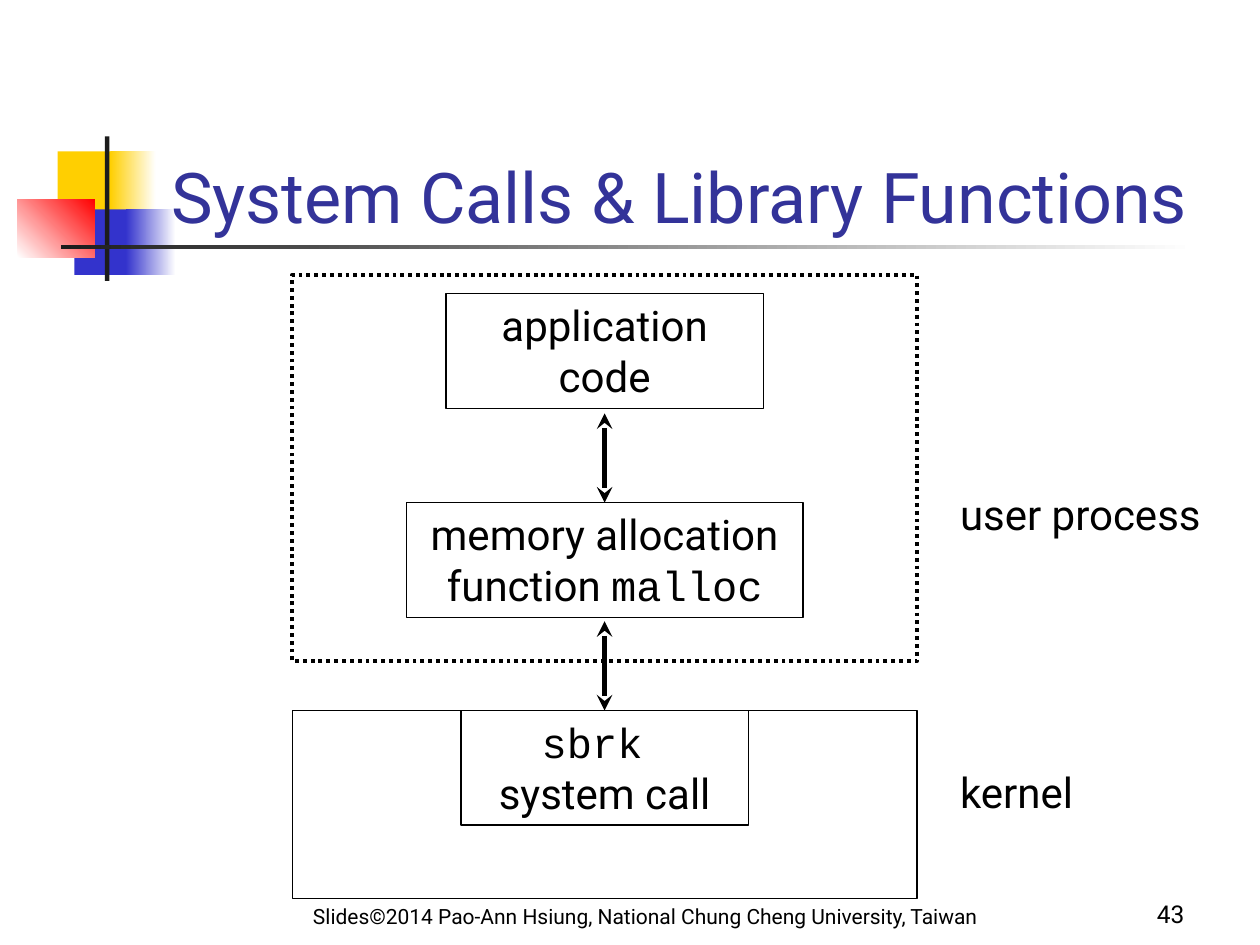
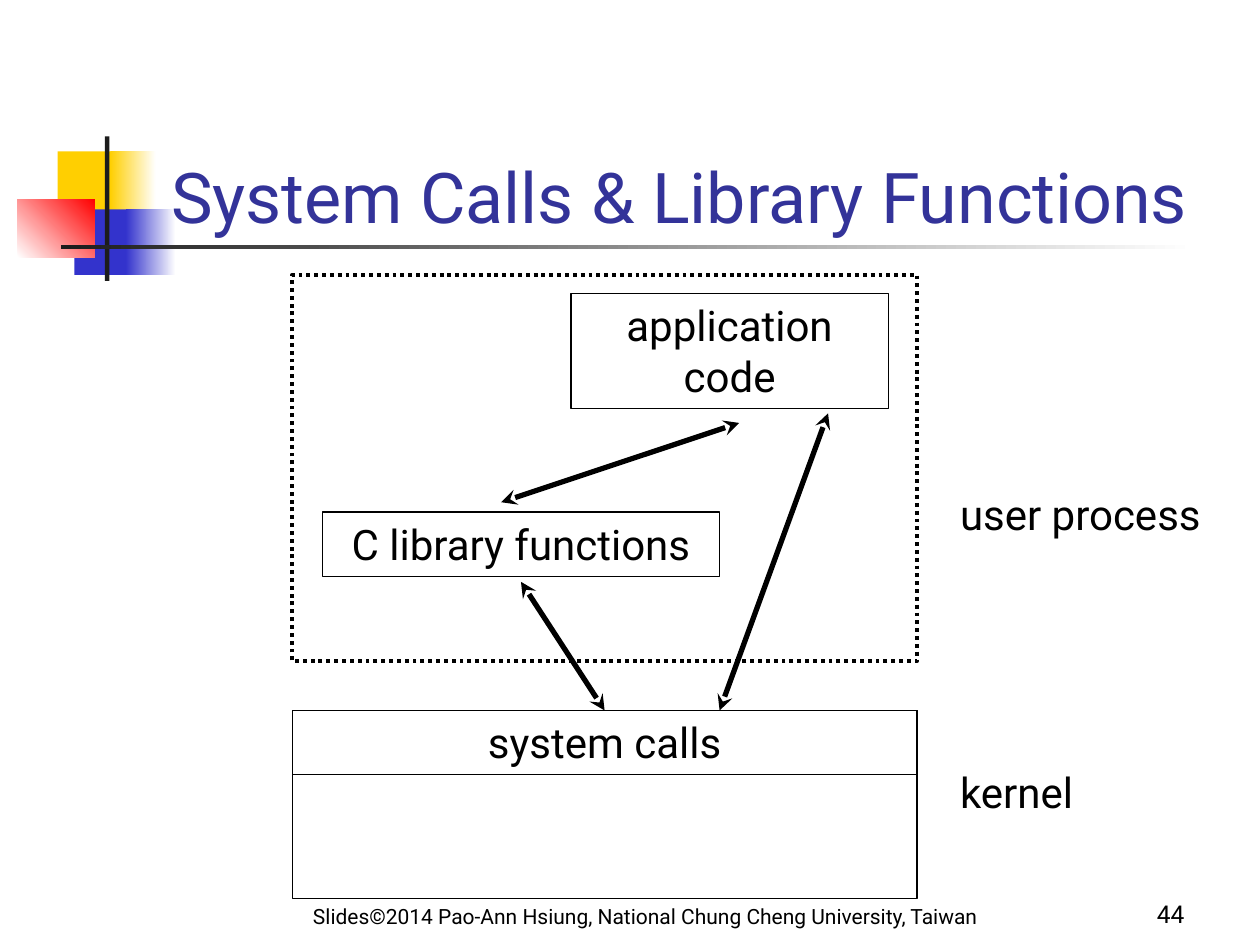
from dataclasses import dataclass

from lxml.etree import SubElement
from pptx import Presentation
from pptx.dml.color import RGBColor
from pptx.enum.dml import MSO_LINE_DASH_STYLE as Dash
from pptx.enum.shapes import MSO_CONNECTOR as Conn, MSO_SHAPE as Shape
from pptx.enum.text import MSO_ANCHOR as Anchor, PP_ALIGN as Align
from pptx.oxml.ns import qn
from pptx.util import Pt


@dataclass(frozen=True)
class Theme:
    # Colours
    white: str = "FFFFFF"
    black: str = "000000"
    title: str = "333399"
    yellow: str = "FFCF01"
    blue: str = "3333CC"
    red: str = "FF0000"
    bar: str = "1C1C1C"
    # Fonts and type sizes
    font: str = "Roboto"
    mono: str = "Courier New"
    title_size: int = 40
    body_size: int = 24
    number_size: int = 14
    footer_size: int = 12
    # Line widths
    thin: float = 0.75
    dotted: float = 2.25
    arrow: float = 3


TITLE = "System Calls & Library Functions"
FOOTER = "Slides©2014 Pao-Ann Hsiung, National Chung Cheng University, Taiwan"

# Diagram grid in points
LEFT, WIDTH = 167, 357
MIDDLE = LEFT + WIDTH / 2
USER_TOP, USER_HEIGHT = 157, 221
KERNEL_TOP, KERNEL_HEIGHT = 406, 107.4
APP_TOP, APP_WIDTH = 167.8, 181.4
LIBRARY_WIDTH = 226.8
ONE_LINE, TWO_LINES = 36.7, 65.5
LABEL_LEFT, LABEL_WIDTH = 541.5, 152.6


class Deck:
    def __init__(self, theme):
        self.t = theme
        self.prs = Presentation()
        self.prs.slide_width, self.prs.slide_height = Pt(720), Pt(540)
        self.s = None

    def rect(self, x, y, w, h):
        sp = self.s.shapes.add_shape(Shape.RECTANGLE, Pt(x), Pt(y), Pt(w), Pt(h))
        sp.shadow.inherit = False
        return sp

    def block(self, x, y, w, h, *colors, angle=0):
        """Borderless block: one colour is solid, two make a gradient."""
        sp = self.rect(x, y, w, h)
        sp.line.fill.background()
        if len(colors) == 1:
            sp.fill.solid()
            sp.fill.fore_color.rgb = RGBColor.from_string(colors[0])
            return
        sp.fill.gradient()
        sp.fill.gradient_angle = angle
        for stop, color in zip(sp.fill.gradient_stops, colors):
            stop.color.rgb = RGBColor.from_string(color)

    def frame(self, x, y, w, h, dotted=False):
        sp = self.rect(x, y, w, h)
        sp.fill.background()
        sp.line.color.rgb = RGBColor.from_string(self.t.black)
        sp.line.width = Pt(self.t.dotted if dotted else self.t.thin)
        if dotted:
            sp.line.dash_style = Dash.ROUND_DOT
        return sp

    def set_text(self, tf, lines, size, color, align, anchor):
        """Each line is a list of text or (text, font) parts."""
        tf.word_wrap = True
        tf.vertical_anchor = anchor
        p = tf.paragraphs[0]
        p.alignment = align
        p.font.name, p.font.size = self.t.font, Pt(size)
        p.font.color.rgb = RGBColor.from_string(color)
        for i, line in enumerate(lines):
            if i:
                p.add_line_break()
            for part in line:
                text, font = part if isinstance(part, tuple) else (part, None)
                r = p.add_run()
                r.text = text
                if font:
                    r.font.name = font

    def box(self, center, y, w, h, *lines):
        sp = self.frame(center - w / 2, y, w, h)
        self.set_text(sp.text_frame, lines, self.t.body_size, self.t.black,
                      Align.CENTER, Anchor.TOP)

    def text(self, x, y, w, h, text, size, color=None, align=Align.LEFT,
             anchor=Anchor.BOTTOM):
        tb = self.s.shapes.add_textbox(Pt(x), Pt(y), Pt(w), Pt(h))
        self.set_text(tb.text_frame, [[text]], size, color or self.t.black,
                      align, anchor)

    def arrow(self, x1, y1, x2, y2):
        """Line with an arrowhead at both ends."""
        c = self.s.shapes.add_connector(Conn.STRAIGHT, Pt(x1), Pt(y1), Pt(x2), Pt(y2))
        c.line.color.rgb = RGBColor.from_string(self.t.black)
        c.line.width = Pt(self.t.arrow)
        sp_pr = c._element.spPr
        ln = sp_pr.find(qn("a:ln"))
        for end in ("a:headEnd", "a:tailEnd"):
            SubElement(ln, qn(end), type="stealth")
        SubElement(sp_pr, qn("a:effectLst"))

    def slide(self, number):
        """New slide with the shared ornament, title and footer."""
        t = self.t
        self.s = self.prs.slides.add_slide(self.prs.slide_layouts[6])
        # Ornament
        self.block(33, 86.5, 34.5, 37.5, t.yellow)
        self.block(63, 86.5, 26, 37.5, t.yellow, t.white)
        self.block(42.5, 119.7, 33, 37.4, t.blue)
        self.block(72, 119.7, 28.5, 37.4, t.blue, t.white)
        self.block(10, 113.8, 44.2, 33.3, t.white, t.red, angle=45)
        self.block(60, 78, 2.5, 82.5, t.bar)
        self.block(34.8, 140, 648, 2.5, t.bar, t.white)
        # Title and footer
        self.text(90.7, 49, 613.4, 90, TITLE, t.title_size, t.title)
        self.text(110, 498.2, 517.7, 36, FOOTER, t.footer_size, align=Align.CENTER)
        self.text(534, 498.2, 150, 36, str(number), t.number_size, align=Align.RIGHT)

    def regions(self):
        """User process and kernel areas with their labels."""
        self.frame(LEFT, USER_TOP, WIDTH, USER_HEIGHT, dotted=True)
        self.frame(LEFT, KERNEL_TOP, WIDTH, KERNEL_HEIGHT)
        for y, label in ((275.8, "user process"), (434.2, "kernel")):
            self.text(LABEL_LEFT, y, LABEL_WIDTH, 36, label, self.t.body_size,
                      anchor=Anchor.TOP)


def malloc_slide(deck):
    mono = deck.t.mono
    malloc_top = 287.2
    deck.slide(43)
    deck.regions()
    deck.box(MIDDLE, APP_TOP, APP_WIDTH, TWO_LINES, ["application code"])
    deck.box(MIDDLE, malloc_top, LIBRARY_WIDTH, TWO_LINES,
             ["memory allocation function ", ("malloc", mono)])
    deck.box(MIDDLE, KERNEL_TOP, 164.2, TWO_LINES, [("sbrk ", mono)], ["system call"])
    for bottom in (malloc_top, KERNEL_TOP):
        deck.arrow(MIDDLE, bottom - 51, MIDDLE, bottom)


def library_slide(deck):
    deck.slide(44)
    deck.regions()
    deck.box(416.9, APP_TOP, APP_WIDTH, TWO_LINES, ["application code"])
    deck.box(297.7, 292.6, LIBRARY_WIDTH, ONE_LINE, ["C library functions"])
    deck.box(MIDDLE, KERNEL_TOP, WIDTH, ONE_LINE, ["system calls"])
    deck.arrow(422.4, 241.7, 286.4, 287)
    deck.arrow(297.7, 332.5, MIDDLE, KERNEL_TOP)
    deck.arrow(473.2, 236.2, 411.2, KERNEL_TOP)


def main():
    deck = Deck(Theme())
    malloc_slide(deck)
    library_slide(deck)
    deck.prs.save("out.pptx")


if __name__ == "__main__":
    main()
